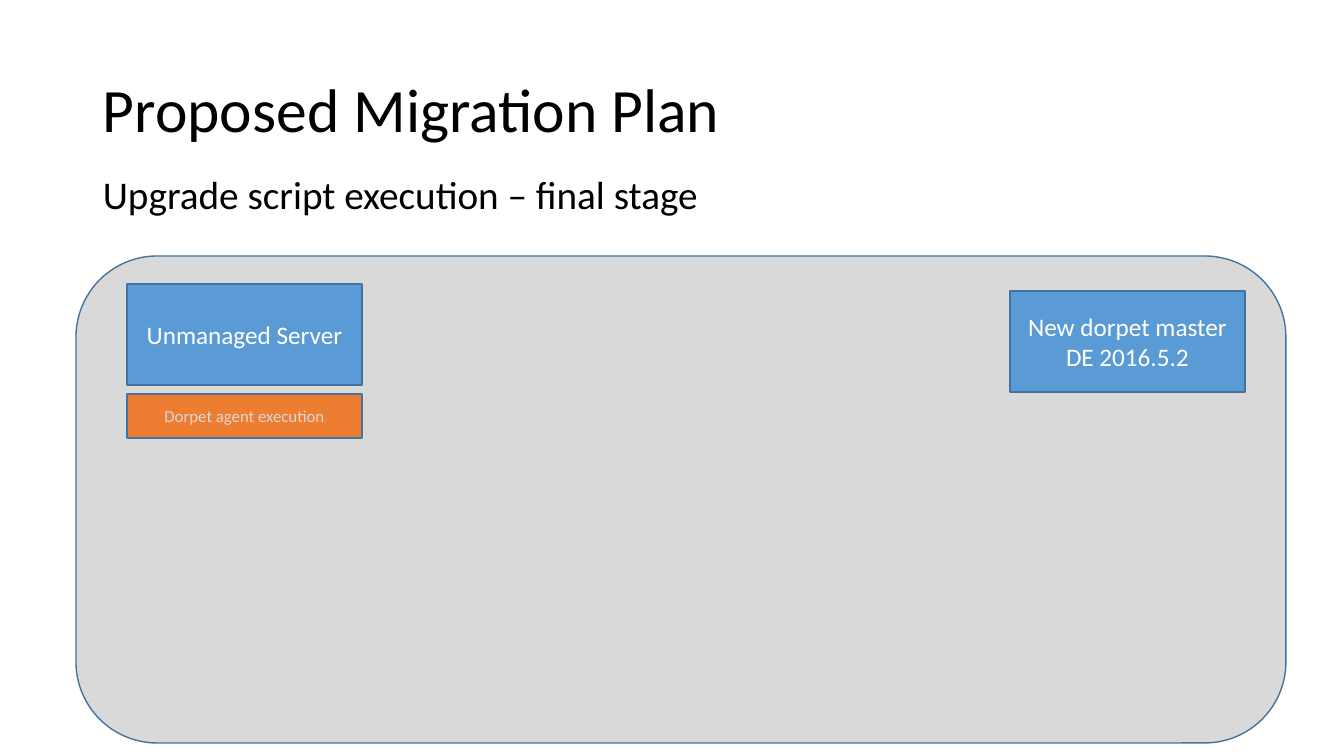
"""Build the migration plan slide."""
from dataclasses import dataclass

from pptx import Presentation
from pptx.dml.color import RGBColor
from pptx.enum.shapes import MSO_SHAPE as Shape
from pptx.enum.text import MSO_ANCHOR as Anchor, PP_ALIGN as Align
from pptx.util import Pt

EMU_PER_PX = 914400 / 100.8


@dataclass(frozen=True)
class Theme:
    """Hold the colours and type sizes of the slide."""
    font: str = "Calibri"
    ink: str = "000000"
    white: str = "FFFFFF"
    panel: str = "D9D9D9"
    server: str = "5B9BD5"
    agent: str = "ED7D31"
    outline: str = "43739E"
    title_size: int = 44
    subtitle_size: int = 28
    server_size: int = 18
    agent_size: int = 12


THEME = Theme()


def px(*lengths):
    """Turn pixel lengths into EMU."""
    return [round(length * EMU_PER_PX) for length in lengths]


def write(holder, text, *, size, color=THEME.ink, align=Align.LEFT,
          anchor=Anchor.MIDDLE, spacing=None, before=0):
    """Write one formatted paragraph into a shape or text box."""
    frame = holder.text_frame
    frame.word_wrap = True
    frame.vertical_anchor = anchor
    paragraph = frame.paragraphs[0]
    paragraph.alignment = align
    paragraph.line_spacing = spacing
    paragraph.space_before = Pt(before)
    run = paragraph.add_run()
    run.text = text
    run.font.name = THEME.font
    run.font.size = Pt(size)
    run.font.color.rgb = RGBColor.from_string(color)


def outlined(slide, preset, box, fill):
    """Add a filled preset shape with the common outline."""
    shape = slide.shapes.add_shape(preset, *px(*box))
    shape.shadow.inherit = False
    shape.fill.solid()
    shape.fill.fore_color.rgb = RGBColor.from_string(fill)
    shape.line.color.rgb = RGBColor.from_string(THEME.outline)
    shape.line.width = Pt(1)
    return shape


def label_box(slide, box, text, fill, size, color=THEME.white):
    """Add a rectangle with a centred label."""
    rectangle = outlined(slide, Shape.RECTANGLE, box, fill)
    write(rectangle, text, size=size, color=color, align=Align.CENTER)


def heading(slide, box):
    """Place the title and the stage line below it."""
    left, top, width, height = box
    title = slide.shapes.add_textbox(*px(left, top, width, height))
    write(title, "Proposed Migration Plan", size=THEME.title_size, spacing=0.9)
    stage = slide.shapes.add_textbox(*px(left, top + 131, width, 510))
    write(stage, "Upgrade script execution – final stage",
          size=THEME.subtitle_size, anchor=Anchor.TOP, spacing=0.9, before=10)


def environment(slide, box):
    """Place the panel's servers and the agent run."""
    left, top, width, _ = box
    server_width, server_height = 235, 101
    unmanaged_left, unmanaged_top = left + 51, top + 28
    master_left = left + width - server_width - 41
    label_box(slide, (unmanaged_left, unmanaged_top, server_width, server_height),
              "Unmanaged Server", THEME.server, THEME.server_size)
    label_box(slide, (master_left, top + 35, server_width, server_height),
              "New dorpet master DE 2016.5.2", THEME.server, THEME.server_size)
    label_box(slide, (unmanaged_left, unmanaged_top + server_height + 9, server_width, 44),
              "Dorpet agent execution", THEME.agent, THEME.agent_size, THEME.panel)


def main():
    """Build and save the presentation."""
    deck = Presentation()
    deck.slide_width, deck.slide_height = px(1344, 756)
    slide = deck.slides.add_slide(deck.slide_layouts[6])
    panel = (76, 256, 1210, 487)
    outlined(slide, Shape.ROUNDED_RECTANGLE, panel, THEME.panel)
    heading(slide, (93, 40, 1159, 146))
    environment(slide, panel)
    deck.save("out.pptx")


if __name__ == "__main__":
    main()
